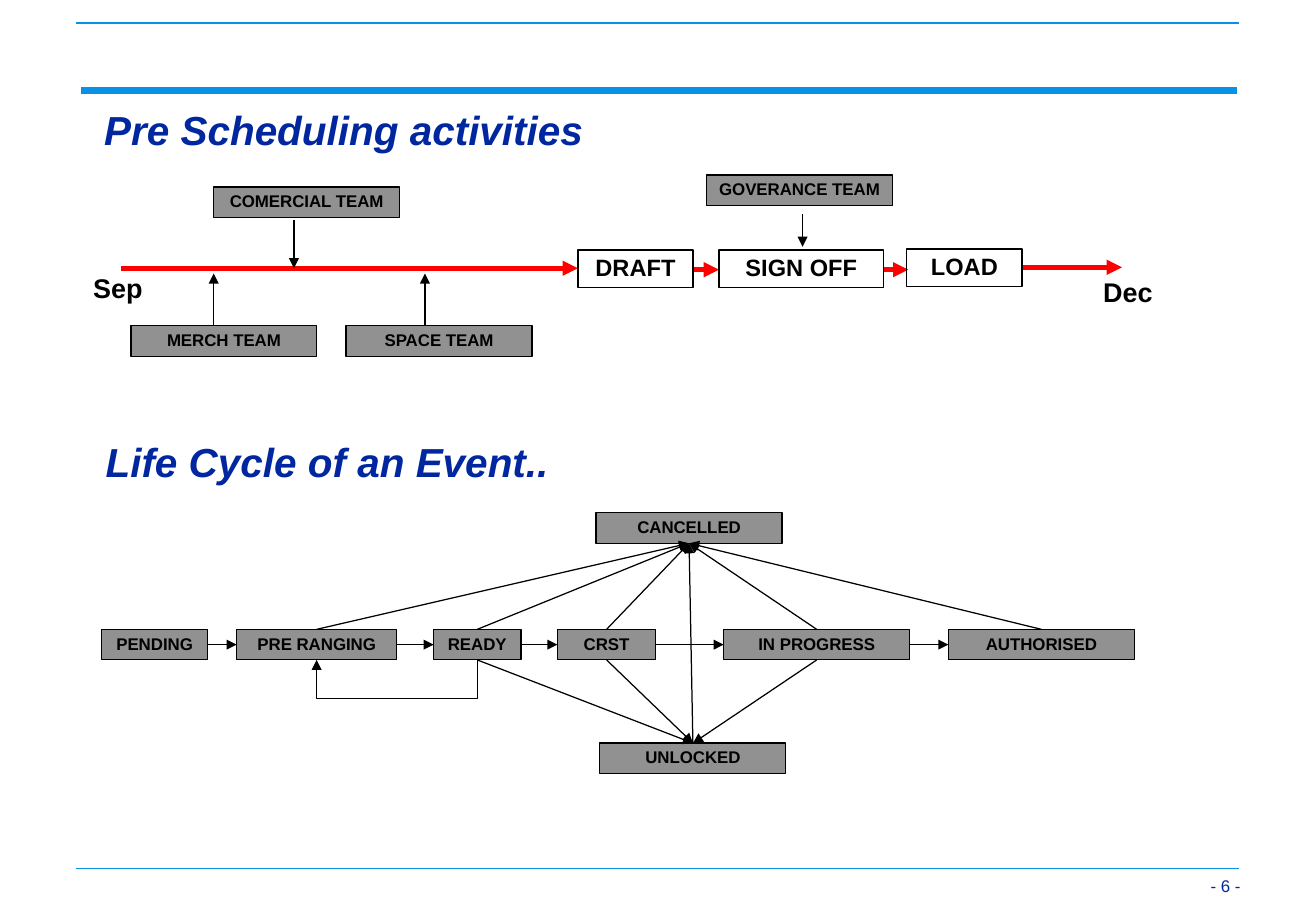
from pptx import Presentation
from pptx import util as u
from pptx.dml.color import RGBColor
from pptx.enum import shapes as es, text as et
from pptx.oxml.ns import qn
from lxml import etree

BLUE = RGBColor(0x0A, 0x91, 0xE6)
NAVY = RGBColor(0x00, 0x27, 0x9F)
BLACK = RGBColor(0, 0, 0)
RED = RGBColor(0xFF, 0, 0)
GREY = RGBColor(0x91, 0x91, 0x91)

TOP, LEFT, BOTTOM, RIGHT = range(4)  # connection sites of a box
TEAM_W, BOX_H = 3.89, 0.64
ROW_Y = 13.16


def write(shape, words, size, color, align, anchor, bold=True, italic=False):
    frame = shape.text_frame
    frame.word_wrap = True
    frame.vertical_anchor = anchor
    para = frame.paragraphs[0]
    para.text = words
    para.alignment = align
    para.line_spacing = 0.9
    font = para.font
    font.name, font.size = "Arial", u.Pt(size)
    font.bold, font.italic = bold, italic
    font.color.rgb = color


def label(slide, words, x, y, w, h, size, color,
          align=et.PP_ALIGN.LEFT, anchor=et.MSO_ANCHOR.TOP, **style):
    area = slide.shapes.add_textbox(u.Cm(x), u.Cm(y), u.Cm(w), u.Cm(h))
    write(area, words, size, color, align, anchor, **style)
    return area


def box(slide, words, x, y, w=TEAM_W, h=BOX_H, size=10, fill=GREY):
    rect = slide.shapes.add_shape(
        es.MSO_SHAPE.RECTANGLE, u.Cm(x), u.Cm(y), u.Cm(w), u.Cm(h))
    rect.shadow.inherit = False
    if fill is None:
        rect.fill.background()
    else:
        rect.fill.solid()
        rect.fill.fore_color.rgb = fill
    rect.line.color.rgb = BLACK
    rect.line.width = u.Pt(0.75)
    frame = rect.text_frame
    frame.margin_left = frame.margin_right = u.Cm(0.1)
    write(rect, words, size, BLACK, et.PP_ALIGN.CENTER, et.MSO_ANCHOR.MIDDLE)
    return rect


def stroke(shape, color, width, arrow):
    shape.line.color.rgb = color
    shape.line.width = u.Pt(width)
    if arrow:
        tail = etree.SubElement(shape.line._get_or_add_ln(), qn("a:tailEnd"))
        tail.set("type", "triangle")


def line(slide, x1, y1, x2, y2, color=BLACK, width=0.75, arrow=True):
    link = slide.shapes.add_connector(
        es.MSO_CONNECTOR.STRAIGHT, u.Cm(x1), u.Cm(y1), u.Cm(x2), u.Cm(y2))
    stroke(link, color, width, arrow)
    etree.SubElement(link._element.spPr, qn("a:effectLst"))
    return link


def join(slide, start, out, end, into):
    link = line(slide, 0, 0, 1, 1)
    link.begin_connect(start, out)
    link.end_connect(end, into)


def loop(slide, start, end, drop):
    """Arrow that leaves the bottom of one box and comes back up to another."""
    x1, x2 = (b.left + b.width // 2 for b in (start, end))
    y = start.top + start.height
    low = y + u.Cm(drop)
    pen = slide.shapes.build_freeform(x1, y, scale=1.0)
    pen.add_line_segments([(x1, low), (x2, low), (x2, y)], close=False)
    bend = pen.convert_to_shape()
    bend.shadow.inherit = False
    bend.fill.background()
    stroke(bend, BLACK, 0.75, True)


def frame_page(slide):
    line(slide, 1.7, 1.9, 25.88, 1.9, BLUE, 4, False)
    for color in (BLACK, BLUE):
        line(slide, 1.6, 0.48, 25.91, 0.48, color, 1, False)
    line(slide, 1.6, 18.16, 25.91, 18.16, BLUE, 1, False)
    page = label(slide, "- 6 -", 24.61, 17.83, 1.52, 0.99, 10, NAVY,
                 et.PP_ALIGN.RIGHT, et.MSO_ANCHOR.BOTTOM, bold=False)
    frame = page.text_frame
    frame.margin_left = frame.margin_right = u.Cm(0.18)
    frame.margin_top = frame.margin_bottom = u.Cm(0.08)


def draw_plan(slide):
    label(slide, "Pre Scheduling activities", 1.93, 2.18, 19.91, 1.17,
          24, NAVY, italic=True)
    # Time line
    for x1, x2, y in ((2.54, 12.09, 5.61), (14.5, 15.04, 5.64),
                      (18.47, 19, 5.64), (21.36, 23.47, 5.59)):
        line(slide, x1, y, x2, y, RED, 3)
    for words, x, y in (("Sep", 1.7, 5.64), ("Dec", 22.83, 5.72)):
        label(slide, words, x, y, 1.98, 0.86, 16, BLACK)
    for words, x, y, w in (("DRAFT", 12.09, 5.23, 2.41),
                           ("SIGN OFF", 15.04, 5.23, 3.45),
                           ("LOAD", 18.97, 5.21, 2.41)):
        box(slide, words, x, y, w, 0.79, 14, None)
    # Teams, each with its arrow: x, from, to
    for words, x, y, mid, y1, y2 in (
            ("MERCH TEAM", 2.74, 6.81, 4.47, 6.81, 5.72),
            ("COMERCIAL TEAM", 4.47, 3.91, 6.15, 4.6, 5.61),
            ("SPACE TEAM", 7.24, 6.81, 8.89, 6.81, 5.72),
            ("GOVERANCE TEAM", 14.78, 3.66, 16.79, 4.47, 5.16)):
        box(slide, words, x, y)
        line(slide, mid, y1, mid, y2)


def draw_cycle(slide):
    label(slide, "Life Cycle of an Event..", 1.96, 9.12, 19.91, 1.17,
          24, NAVY, italic=True)
    # States
    row = [box(slide, words, x, ROW_Y, w) for words, x, w in (
        ("PENDING", 2.13, 2.21), ("PRE RANGING", 4.95, 3.35),
        ("READY", 9.07, 1.83), ("CRST", 11.66, 2.06),
        ("IN PROGRESS", 15.14, TEAM_W), ("AUTHORISED", 19.84, TEAM_W))]
    cancel = box(slide, "CANCELLED", 12.47, 10.72)
    unlock = box(slide, "UNLOCKED", 12.55, 15.54)
    # Moves between states
    for start, end in zip(row, row[1:]):
        join(slide, start, RIGHT, end, LEFT)
    for state in row[1:] + [unlock]:
        join(slide, state, TOP, cancel, BOTTOM)
    for state in row[2:5]:
        join(slide, state, BOTTOM, unlock, TOP)
    loop(slide, row[2], row[1], 0.8)


def main():
    deck = Presentation()
    deck.slide_width, deck.slide_height = u.Cm(27.53), u.Cm(19.05)
    slide = deck.slides.add_slide(deck.slide_layouts[6])
    frame_page(slide)
    draw_plan(slide)
    draw_cycle(slide)
    deck.save("out.pptx")


if __name__ == "__main__":
    main()
